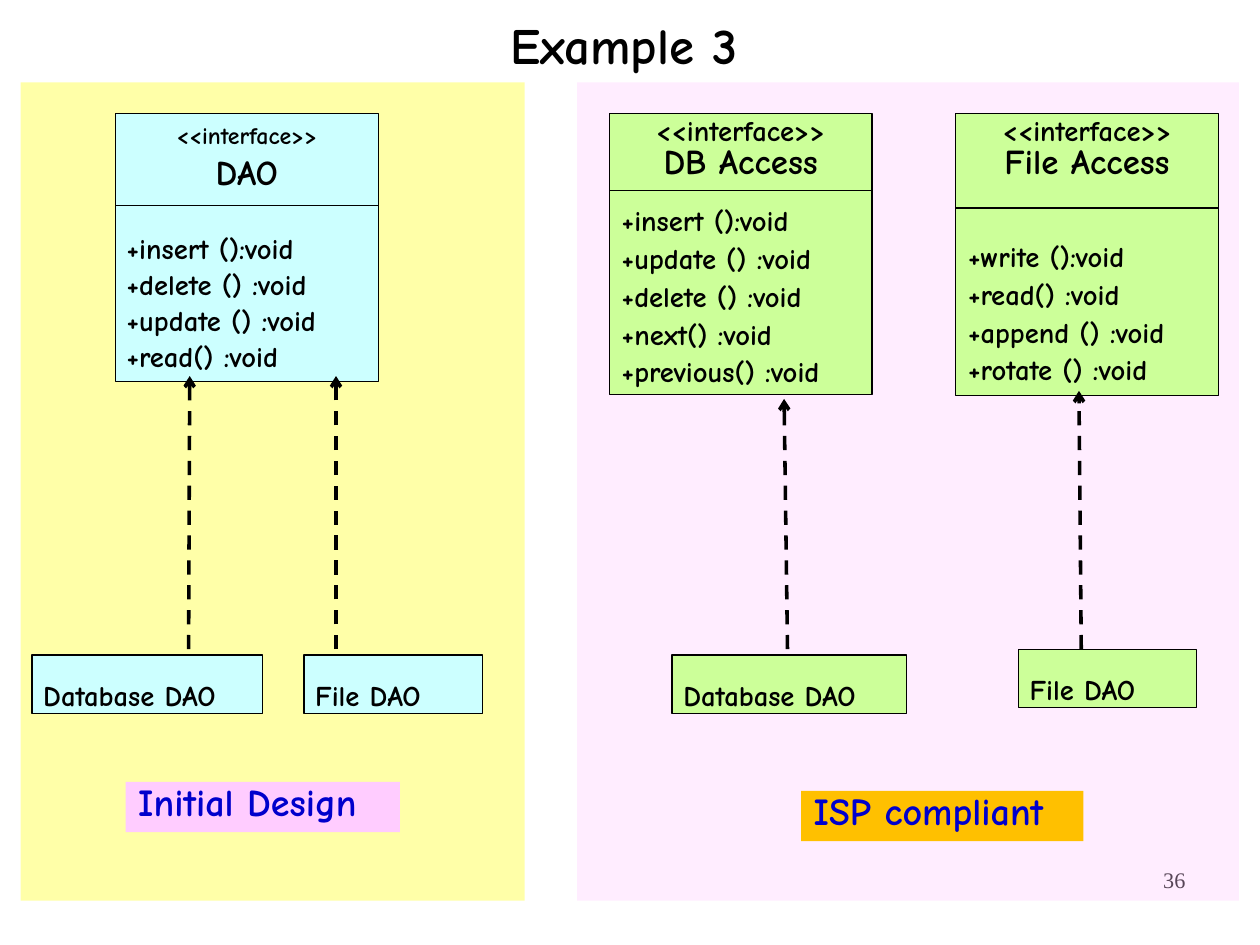
import pptx
import pptx.dml.color
import pptx.enum.dml
import pptx.enum.shapes
import pptx.enum.text
import pptx.oxml
import pptx.oxml.ns
import pptx.util

Inches = pptx.util.Inches
Pt = pptx.util.Pt
RGBColor = pptx.dml.color.RGBColor
Align = pptx.enum.text.PP_ALIGN
Anchor = pptx.enum.text.MSO_ANCHOR

BLACK = RGBColor(0, 0, 0)
YELLOW = RGBColor(0xFF, 0xFF, 0)
PINK = RGBColor(0xFF, 0xCC, 0xFF)
CYAN = RGBColor(0xCC, 0xFF, 0xFF)
GREEN = RGBColor(0xCC, 0xFF, 0x99)
ORANGE = RGBColor(0xFF, 0xC0, 0)
BLUE = RGBColor(0, 0, 0xCC)
FONT = "Comic Neue"
CM_PER_INCH = 2.54
CLASS_WIDTH = 2.3
CLASS_TOP = 0.99


def write(frame, text, size=18, color=BLACK, font=FONT, bold=True,
          align=Align.LEFT, spacing=1.0, before=0):
    """Fill the first paragraph if it is empty, otherwise append one."""
    paragraph = frame.paragraphs[0]
    if paragraph.runs:
        paragraph = frame.add_paragraph()
    paragraph.alignment = align
    paragraph.line_spacing = spacing
    paragraph.space_before = Pt(before)
    paragraph.space_after = Pt(0)
    run = paragraph.add_run()
    run.text = text
    run.font.name = font
    run.font.size = Pt(size)
    run.font.bold = bold
    run.font.color.rgb = color


def set_frame(frame, x_inset=0.1, y_inset=0.05, anchor=Anchor.TOP):
    frame.word_wrap = True
    frame.auto_size = pptx.enum.text.MSO_AUTO_SIZE.NONE
    frame.vertical_anchor = anchor
    frame.margin_left = frame.margin_right = Inches(x_inset)
    frame.margin_top = frame.margin_bottom = Inches(y_inset)


def place(shape, left, top, width, height):
    shape.left, shape.top = Inches(left), Inches(top)
    shape.width, shape.height = Inches(width), Inches(height)


def add_box(slide, left, top, width, height, fill, outlined=True):
    box = slide.shapes.add_shape(
        pptx.enum.shapes.MSO_SHAPE.RECTANGLE,
        Inches(left), Inches(top), Inches(width), Inches(height))
    box.shadow.inherit = False
    box.fill.solid()
    box.fill.fore_color.rgb = fill
    if outlined:
        box.line.color.rgb = BLACK
        box.line.width = Pt(0.75)
    else:
        box.line.fill.background()
    return box


def add_panel(slide, left, width, fill):
    """Add a background area that is 34 % opaque."""
    panel = add_box(slide, left, 0.72, width, 7.16, fill, outlined=False)
    color = panel.fill._xPr.find(".//" + pptx.oxml.ns.qn("a:srgbClr"))
    color.append(pptx.oxml.parse_xml(
        f'<a:alpha {pptx.oxml.ns.nsdecls("a")} val="34000"/>'))


def add_line(slide, x1, y1, x2, y2, width=0.75):
    line = slide.shapes.add_connector(
        pptx.enum.shapes.MSO_CONNECTOR.STRAIGHT,
        Inches(x1), Inches(y1), Inches(x2), Inches(y2))
    line.line.color.rgb = BLACK
    line.line.width = Pt(width)
    line._element.spPr.append(pptx.oxml.parse_xml(
        f'<a:effectLst {pptx.oxml.ns.nsdecls("a")}/>'))
    return line


def add_realization(slide, x1, y1, x2, y2):
    """Add a dashed arrow from an implementation up to its interface."""
    arrow = add_line(slide, x1, y1, x2, y2, width=2.25)
    arrow.line.dash_style = pptx.enum.dml.MSO_LINE.DASH
    arrow.line._get_or_add_ln().append(pptx.oxml.parse_xml(
        f'<a:tailEnd {pptx.oxml.ns.nsdecls("a")} type="arrow"/>'))


def add_interface(slide, left, height, divider, fill, name, methods, *,
                  stereotype_size=18, head_spacing=0.8, method_spacing=1.1,
                  gap=12, insets=(0.11, 0.06)):
    box = add_box(slide, left, CLASS_TOP, CLASS_WIDTH, height, fill)
    frame = box.text_frame
    set_frame(frame, *insets)
    for text, size in (("<<interface>>", stereotype_size), (name, 22)):
        write(frame, text, size=size, align=Align.CENTER, spacing=head_spacing)
    for index, method in enumerate(methods):
        write(frame, method, spacing=method_spacing,
              before=0 if index else gap)
    add_line(slide, left, divider, left + CLASS_WIDTH, divider)


def add_implementation(slide, left, top, width, fill, name):
    frame = add_box(slide, left, top, width, 0.51, fill).text_frame
    set_frame(frame)
    write(frame, name, spacing=1.5)


def add_label(slide, left, top, width, fill, text):
    frame = add_box(slide, left, top, width, 0.44, fill,
                    outlined=False).text_frame
    set_frame(frame, 0.11, 0.05)
    write(frame, text, size=24, color=BLUE, spacing=0.8)


def add_title(slide, text):
    title = slide.shapes.title
    place(title, 0.76, -0.19, 9.4, 1.22)
    set_frame(title.text_frame, 0.11, 0.05, Anchor.MIDDLE)
    write(title.text_frame, text, size=32, align=Align.CENTER, spacing=0.88)


def add_page_number(slide, number):
    box = slide.shapes.add_textbox(
        Inches(7.9), Inches(7.53), Inches(2.57), Inches(0.57))
    set_frame(box.text_frame)
    write(box.text_frame, number, size=14, font="Times New Roman",
          bold=False, align=Align.RIGHT)


def add_initial_design(slide):
    add_panel(slide, 0.18, 4.41, YELLOW)
    add_interface(
        slide, 1.01, 2.35, 1.8, CYAN, "DAO",
        ["+insert ():void", "+delete () :void", "+update () :void",
         "+read() :void"],
        stereotype_size=15, head_spacing=1.05, method_spacing=1.05,
        gap=22.7, insets=(0.1, 0.05))
    add_implementation(slide, 0.28, 5.73, 2.02, CYAN, "Database DAO")
    add_implementation(slide, 2.66, 5.73, 1.56, CYAN, "File DAO")
    add_realization(slide, 1.65, 5.68, 1.66, 3.29)
    add_realization(slide, 2.94, 5.68, 2.94, 3.29)
    add_label(slide, 1.1, 6.84, 2.4, PINK, "Initial Design")


def add_compliant_design(slide):
    add_panel(slide, 5.05, 5.79, PINK)
    add_interface(
        slide, 5.33, 2.46, 1.67, GREEN, "DB Access",
        ["+insert ():void", "+update () :void", "+delete () :void",
         "+next() :void", "+previous() :void"])
    add_interface(
        slide, 8.36, 2.47, 1.82, GREEN, "File Access",
        ["+write ():void", "+read() :void", "+append () :void",
         "+rotate () :void"], gap=34.5)
    add_implementation(slide, 5.88, 5.73, 2.05, GREEN, "Database DAO")
    add_implementation(slide, 8.91, 5.68, 1.56, GREEN, "File DAO")
    add_realization(slide, 6.89, 5.68, 6.86, 3.49)
    add_realization(slide, 9.46, 5.68, 9.44, 3.42)
    add_label(slide, 7.01, 6.92, 2.47, ORANGE, "ISP compliant")


def main():
    deck = pptx.Presentation()
    deck.slide_width = Inches(28 / CM_PER_INCH)
    deck.slide_height = Inches(21 / CM_PER_INCH)
    slide = deck.slides.add_slide(deck.slide_layouts.get_by_name("Title Only"))
    add_title(slide, "Example 3")
    add_page_number(slide, "36")
    add_initial_design(slide)
    add_compliant_design(slide)
    deck.save("out.pptx")


if __name__ == "__main__":
    main()
